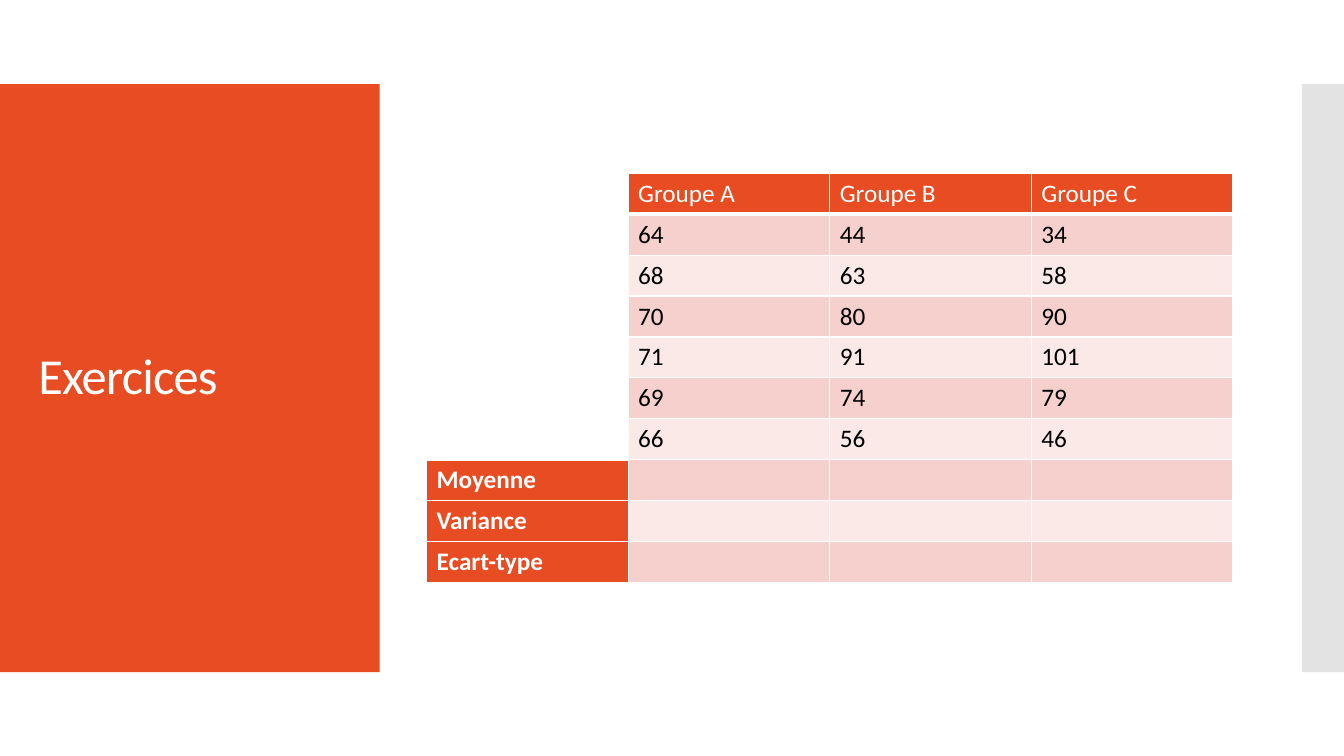
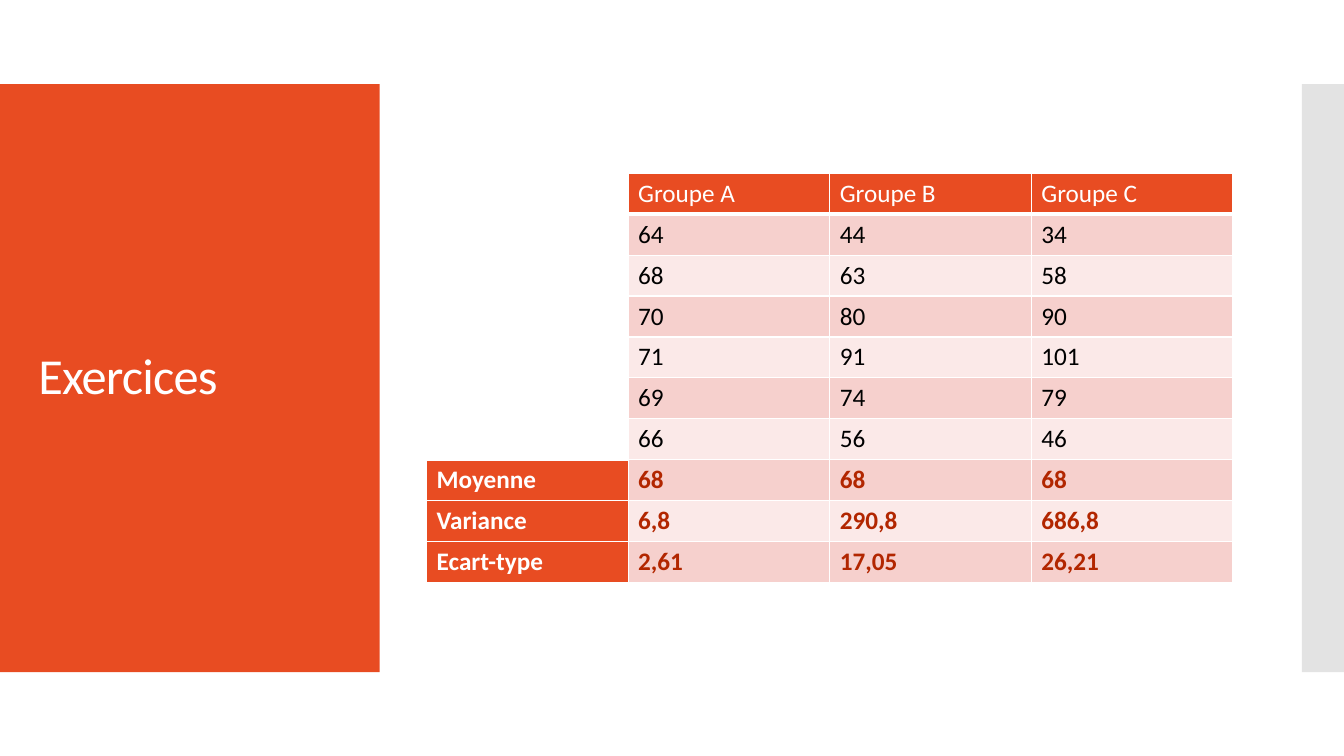
from lxml import etree
from pptx import Presentation
from pptx.dml.color import RGBColor
from pptx.enum import shapes, text
from pptx.oxml import ns
from pptx.util import Cm, Pt

ORANGE = RGBColor(0xE8, 0x4C, 0x22)
GREY = RGBColor(0xC8, 0xC8, 0xC8)
WHITE = RGBColor(0xFF, 0xFF, 0xFF)
BLACK = RGBColor(0, 0, 0)
RUST = RGBColor(0xB2, 0x26, 0x00)
PINK = RGBColor(0xF6, 0xD0, 0xCD)
PALE = RGBColor(0xFB, 0xE9, 0xE8)
FONT = "Calibri"

WIDE, HIGH = Cm(33.87), Cm(19.05)
BAND_TOP, BAND_HIGH = Cm(2.12), Cm(14.82)
SIDE, EDGE = Cm(9.57), Cm(1.06)
TITLE_BOX = Cm(0.71), Cm(3.13), Cm(8.17), Cm(12.79)
TABLE_BOX = Cm(10.75), Cm(4.37), Cm(20.32), Cm(10.3)

HEADS = ["Groupe A", "Groupe B", "Groupe C"]
MARKS = [
    ["64", "44", "34"],
    ["68", "63", "58"],
    ["70", "80", "90"],
    ["71", "91", "101"],
    ["69", "74", "79"],
    ["66", "56", "46"],
]
STATS = ["Moyenne", "Variance", "Ecart-type"]
BLANKS = [[""] * len(HEADS) for _ in STATS]
ANSWERS = [
    ["68", "68", "68"],
    ["6,8", "290,8", "686,8"],
    ["2,61", "17,05", "26,21"],
]


def write(frame, words, size=18, color=BLACK, bold=False, space=None, lines=None):
    """Set the text of a frame; space is the letter spacing in points."""
    para = frame.paragraphs[0]
    para.alignment = text.PP_ALIGN.LEFT
    para.line_spacing = lines
    para.font.size = Pt(size)
    if not words:
        return
    run = para.add_run()
    run.text = words
    font = run.font
    font.name, font.size, font.bold = FONT, Pt(size), bold
    font.color.rgb = color
    if space is not None:
        font._element.set("spc", str(round(space * 100)))


def add_band(slide, left, width, color, alpha=None):
    band = slide.shapes.add_shape(
        shapes.MSO_SHAPE.RECTANGLE, left, BAND_TOP, width, BAND_HIGH)
    band.shadow.inherit = False
    band.fill.solid()
    band.fill.fore_color.rgb = color
    band.line.fill.background()
    if alpha is not None:
        tint = band.element.spPr.find(".//" + ns.qn("a:srgbClr"))
        etree.SubElement(tint, ns.qn("a:alpha"), val=str(alpha * 1000))
    return band


def style_layout(layout, slide):
    """Give the layout its title box and bands, drawn by way of a slide."""
    title = layout.placeholders[0]
    title.left, title.top, title.width, title.height = TITLE_BOX
    title.text_frame.vertical_anchor = text.MSO_ANCHOR.MIDDLE
    bands = [
        add_band(slide, 0, SIDE, ORANGE),
        add_band(slide, WIDE - EDGE, EDGE, GREY, alpha=50),
    ]
    for num, band in enumerate(bands):
        band.element.nvSpPr.cNvPr.set("id", str(20 + num))
        layout.shapes.element.insert(2 + num, band.element)


def rule_cell(cell, base=1):
    """Draw white borders round a cell; base is the width of the lower one."""
    props = cell._tc.get_or_add_tcPr()
    for side, width in zip("LRTB", (1, 1, 1, base)):
        line = etree.SubElement(props, ns.qn("a:ln" + side), w=str(Pt(width)))
        fill = etree.SubElement(line, ns.qn("a:solidFill"))
        etree.SubElement(fill, ns.qn("a:srgbClr"), val=str(WHITE))


def fill_cell(cell, words, back, base=1, **style):
    rule_cell(cell, base)
    cell.fill.solid()
    cell.fill.fore_color.rgb = back
    write(cell.text_frame, words, **style)


def add_grid(slide, box, stats):
    """Place the table of marks, with the given rows of results, in a box."""
    left, top, width, height = box
    body = MARKS + stats
    count, first = len(body) + 1, len(MARKS) + 1
    table = slide.shapes.add_table(
        count, len(HEADS) + 1, left, top, width, height).table
    table.first_row = table.horz_banding = False
    for row in table.rows:
        row.height = height // count

    for row in range(first):
        corner = table.cell(row, 0)
        rule_cell(corner, base=3 if row == 0 else 1)
        corner.fill.background()
    table.cell(0, 0).merge(table.cell(first - 1, 0))

    for col, head in enumerate(HEADS, 1):
        fill_cell(table.cell(0, col), head, ORANGE, base=3, color=WHITE)
    for row, name in enumerate(STATS, first):
        fill_cell(table.cell(row, 0), name, ORANGE, color=WHITE, bold=True)
    for row, values in enumerate(body, 1):
        back = PINK if row % 2 else PALE
        final = row >= first
        for col, value in enumerate(values, 1):
            fill_cell(table.cell(row, col), value, back,
                      color=RUST if final else BLACK, bold=final)


def add_task(deck, layout, stats):
    slide = deck.slides.add_slide(layout)
    frame = slide.shapes.title.text_frame
    frame.vertical_anchor = text.MSO_ANCHOR.MIDDLE
    write(frame, "Exercices", size=36, color=WHITE, space=-0.6, lines=0.9)
    add_grid(slide, TABLE_BOX, stats)
    return slide


def main():
    deck = Presentation()
    deck.slide_width, deck.slide_height = WIDE, HIGH
    layout = deck.slide_layouts.get_by_name("Title Only")
    slides = [add_task(deck, layout, stats) for stats in (BLANKS, ANSWERS)]
    style_layout(layout, slides[0])
    deck.save("out.pptx")


if __name__ == "__main__":
    main()
